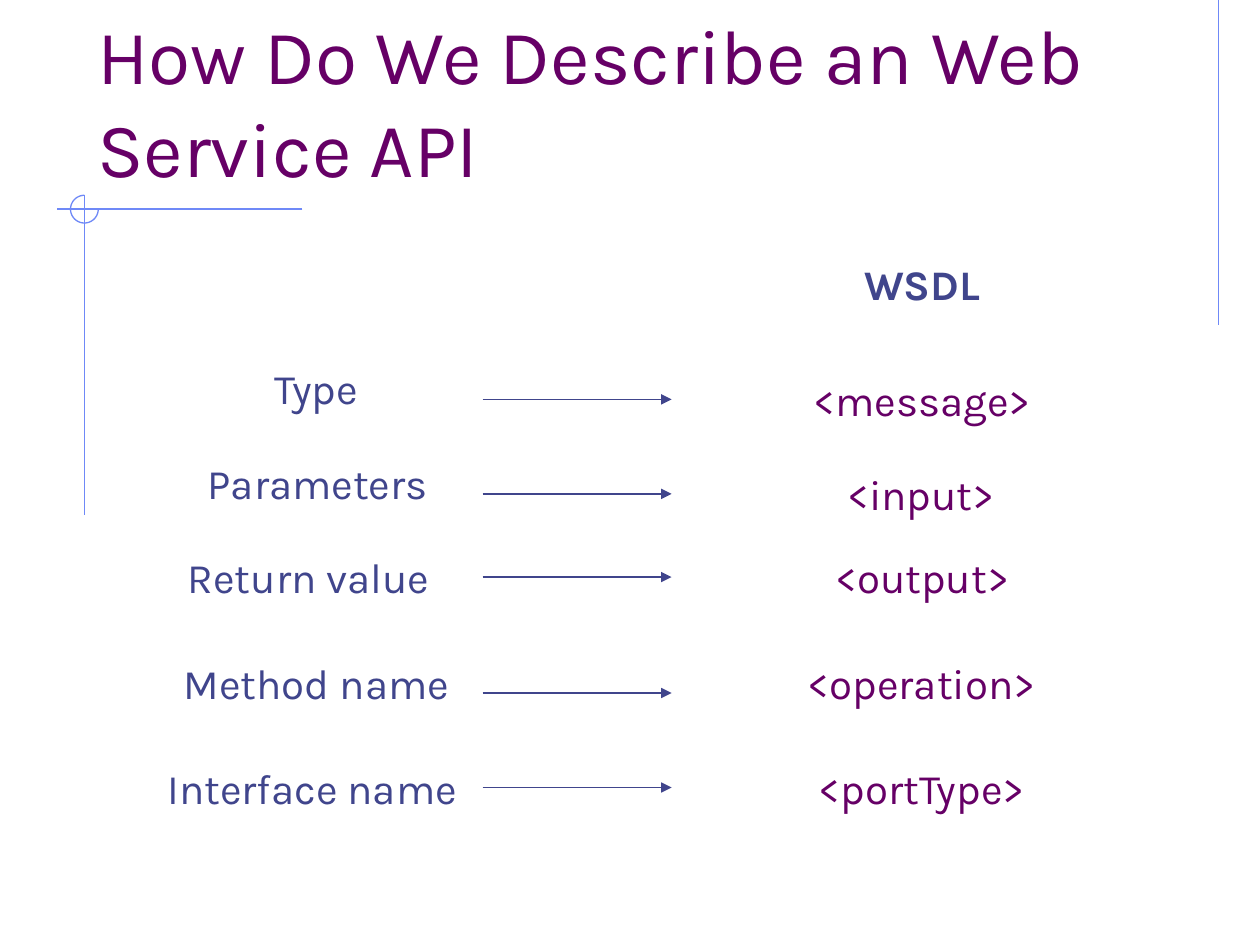
from dataclasses import dataclass
from math import cos, radians, sin

from lxml import etree
from pptx import Presentation
from pptx.dml.color import RGBColor
from pptx.enum.shapes import MSO_CONNECTOR
from pptx.enum.text import MSO_ANCHOR, MSO_AUTO_SIZE, PP_ALIGN
from pptx.oxml.ns import qn
from pptx.util import Inches, Pt

STRAIGHT = MSO_CONNECTOR.STRAIGHT
BOTTOM = MSO_ANCHOR.BOTTOM
NO_FIT, GROW = MSO_AUTO_SIZE.NONE, MSO_AUTO_SIZE.SHAPE_TO_FIT_TEXT
LEFT, CENTER = PP_ALIGN.LEFT, PP_ALIGN.CENTER
TITLE_ONLY = 5


@dataclass(frozen=True)
class Theme:
    font: str = "Karla"
    title_size: int = 44
    body_size: int = 24
    line_width: float = 0.75
    purple: RGBColor = RGBColor(0x66, 0x00, 0x66)
    indigo: RGBColor = RGBColor(0x40, 0x45, 0x8C)
    ornament: RGBColor = RGBColor(0x6F, 0x89, 0xF7)


class SlideBuilder:
    def __init__(self, slide, theme):
        self.slide = slide
        self.theme = theme

    def _write(self, paragraph, text, size, color, align, bold=False):
        paragraph.alignment = align
        run = paragraph.add_run()
        run.text = text
        run.font.name = self.theme.font
        run.font.size = Pt(size)
        run.font.bold = bold
        run.font.color.rgb = color

    def title(self, text, left, top, width, height):
        title = self.slide.shapes.title
        title.left, title.top = Inches(left), Inches(top)
        title.width, title.height = Inches(width), Inches(height)
        frame = title.text_frame
        frame.vertical_anchor = BOTTOM
        frame.auto_size = NO_FIT
        self._write(frame.paragraphs[0], text, self.theme.title_size,
                    self.theme.purple, LEFT)

    def label(self, text, left, top, width, color, align=LEFT, bold=False):
        box = self.slide.shapes.add_textbox(
            Inches(left), Inches(top), Inches(width), Inches(0.5))
        frame = box.text_frame
        frame.word_wrap = False
        frame.auto_size = GROW
        self._write(frame.paragraphs[0], text, self.theme.body_size,
                    color, align, bold)

    def line(self, x1, y1, x2, y2, color, arrow=False):
        line = self.slide.shapes.add_connector(
            STRAIGHT, Inches(x1), Inches(y1), Inches(x2), Inches(y2))
        line.line.color.rgb = color
        line.line.width = Pt(self.theme.line_width)
        if arrow:
            etree.SubElement(line.line._get_or_add_ln(), qn("a:tailEnd"),
                             type="triangle")
        etree.SubElement(line._element.spPr, qn("a:effectLst"))

    def arc(self, center_x, center_y, radius, start, end, color):
        """Draw an open arc; angles in degrees, counted clockwise from right."""
        step = 6 if end > start else -6
        points = [(Inches(center_x + radius * cos(radians(angle))),
                   Inches(center_y + radius * sin(radians(angle))))
                  for angle in range(start, end + step, step)]
        builder = self.slide.shapes.build_freeform(*points[0])
        builder.add_line_segments(points[1:], close=False)
        arc = builder.convert_to_shape()
        arc.shadow.inherit = False
        arc.fill.background()
        arc.line.color.rgb = color
        arc.line.width = Pt(self.theme.line_width)


# API part (left, top, width), WSDL element (left, top, width), arrow height
MAPPINGS = [
    ("Type", (2.08, 2.83, 0.95), "<message>", (6.33, 2.92, 1.98), 3.17),
    ("Parameters", (1.55, 3.58, 2.02), "<input>", (6.61, 3.67, 1.4), 3.92),
    ("Return value", (1.39, 4.33, 2.19), "<output>", (6.5, 4.33, 1.64), 4.58),
    ("Method name", (1.36, 5.17, 2.4), "<operation>", (6.26, 5.17, 2.11), 5.5),
    ("Interface name", (1.23, 6, 2.59), "<portType>", (6.32, 6, 1.99), 6.25),
]
ARROW_START, ARROW_END = 3.83, 5.33


def main():
    prs = Presentation()
    prs.slide_width, prs.slide_height = Inches(10), Inches(7.5)
    theme = Theme()
    page = SlideBuilder(
        prs.slides.add_slide(prs.slide_layouts[TITLE_ONLY]), theme)

    # Corner ornament
    page.line(9.67, 0, 9.67, 2.58, theme.ornament)
    page.line(2.4, 1.66, 0.45, 1.66, theme.ornament)
    page.line(0.67, 1.55, 0.67, 4.09, theme.ornament)
    page.arc(0.67, 1.66, 0.11, 270, 0, theme.ornament)

    # Title and column heading
    page.title("How Do We Describe an Web Service API", 0.67, 0.33, 8.5, 1.25)
    page.label("WSDL", 6.76, 2, 1.14, theme.indigo, bold=True)

    # Each API part points to its WSDL element
    for api_part, api_place, element, element_place, arrow_y in MAPPINGS:
        page.label(api_part, *api_place, theme.indigo)
        page.line(ARROW_START, arrow_y, ARROW_END, arrow_y, theme.indigo,
                  arrow=True)
        page.label(element, *element_place, theme.purple, CENTER)

    prs.save("out.pptx")


if __name__ == "__main__":
    main()
